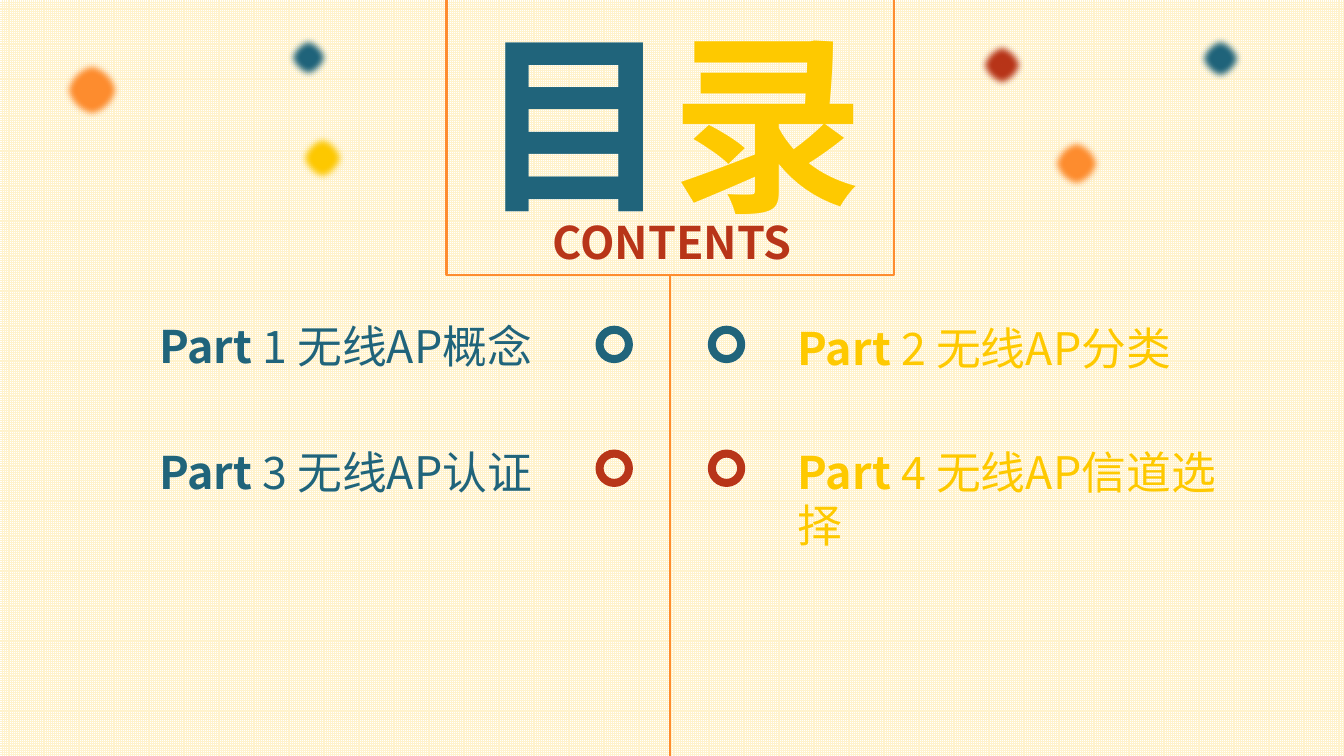
import pptx
import pptx.util
import pptx.dml.color
import pptx.enum.dml
import pptx.enum.shapes
import pptx.enum.text
import pptx.oxml.ns
import lxml.etree

Cm, Pt = pptx.util.Cm, pptx.util.Pt
RGB = pptx.dml.color.RGBColor.from_string
SHAPE = pptx.enum.shapes.MSO_SHAPE
ALIGN = pptx.enum.text.PP_ALIGN
qn = pptx.oxml.ns.qn

FONT = "Noto Sans CJK SC"
COLORS = {
    "teal": "20647B", "yellow": "FEC900", "red": "B83519",
    "orange": "FE8D2F", "cream": "FFF2CC", "white": "FFFFFF",
}

prs = pptx.Presentation()
prs.slide_width, prs.slide_height = Cm(33.87), Cm(19.05)
s = prs.slides.add_slide(prs.slide_layouts[6])


def add_text(runs, x, y, w, h, size=32, align=ALIGN.LEFT):
    """Add one paragraph; runs are (text, color, bold)."""
    tf = s.shapes.add_textbox(Cm(x), Cm(y), Cm(w), Cm(h)).text_frame
    tf.word_wrap = True
    tf.auto_size = pptx.enum.text.MSO_AUTO_SIZE.SHAPE_TO_FIT_TEXT
    p = tf.paragraphs[0]
    p.alignment = align
    for text, color, bold in runs:
        r = p.add_run()
        r.text = text
        r.font.name, r.font.size, r.font.bold = FONT, Pt(size), bold
        r.font.color.rgb = RGB(COLORS[color])
        ea = lxml.etree.SubElement(r.font._element, qn("a:ea"))
        ea.set("typeface", FONT)


def add_shape(kind, x, y, w, h, fill=None, line=None, width=1.75):
    sp = s.shapes.add_shape(kind, Cm(x), Cm(y), Cm(w), Cm(h))
    sp.shadow.inherit = False
    if fill:
        sp.fill.solid()
        sp.fill.fore_color.rgb = RGB(COLORS[fill])
    else:
        sp.fill.background()
    if line:
        sp.line.color.rgb = RGB(COLORS[line])
        sp.line.width = Pt(width)
    else:
        sp.line.fill.background()
    return sp


# Checked background
fill = s.background.fill
fill.patterned()
fill.pattern = pptx.enum.dml.MSO_PATTERN.SMALL_GRID
fill.fore_color.rgb = RGB(COLORS["cream"])
fill.back_color.rgb = RGB(COLORS["white"])

# Title and its frame
add_text([("目", "teal", True), ("录", "yellow", True)],
         11.25, -0.03, 11.35, 6.5, size=138, align=ALIGN.CENTER)
add_text([("CONTENTS", "red", True)], 13.23, 5.28, 7.42, 1.7, align=ALIGN.CENTER)
add_shape(SHAPE.RECTANGLE, 11.25, -0.03, 11.28, 6.96, line="orange")

# Soft-edged dots
for x, y, d, color in [
    (7.49, 3.35, 1.27, "yellow"), (7.19, 0.86, 1.17, "teal"),
    (24.64, 1.02, 1.24, "red"), (26.44, 3.43, 1.37, "orange"),
    (30.15, 0.86, 1.22, "teal"), (1.55, 1.5, 1.55, "orange"),
]:
    sp = add_shape(SHAPE.OVAL, x, y, d, d, fill=color)
    effects = sp._element.spPr.find(qn("a:effectLst"))
    lxml.etree.SubElement(effects, qn("a:softEdge")).set("rad", str(Pt(5)))

# Centre line
line = s.shapes.add_connector(pptx.enum.shapes.MSO_CONNECTOR.STRAIGHT,
                              Cm(16.89), Cm(6.91), Cm(16.89), Cm(19.81))
line.line.color.rgb = RGB(COLORS["orange"])
line.line.width = Pt(1.75)
lxml.etree.SubElement(line._element.spPr, qn("a:effectLst"))

# Rings beside the line
for x in (15.11, 17.94):
    for y, color in ((8.31, "teal"), (11.43, "red")):
        add_shape(SHAPE.OVAL, x, y, 0.74, 0.74, line=color, width=5.75)

# Parts
for text, color, x, y, w, h in [
    ("1 无线AP概念", "teal", 3.76, 7.9, 11.46, 1.63),
    ("2 无线AP分类", "yellow", 19.86, 7.95, 11.68, 1.63),
    ("3 无线AP认证", "teal", 3.76, 11.07, 10.92, 1.63),
    ("4 无线AP信道选择", "yellow", 19.86, 11.07, 11.68, 3),
]:
    add_text([("Part ", color, True), (text, color, False)], x, y, w, h)

prs.save("out.pptx")
